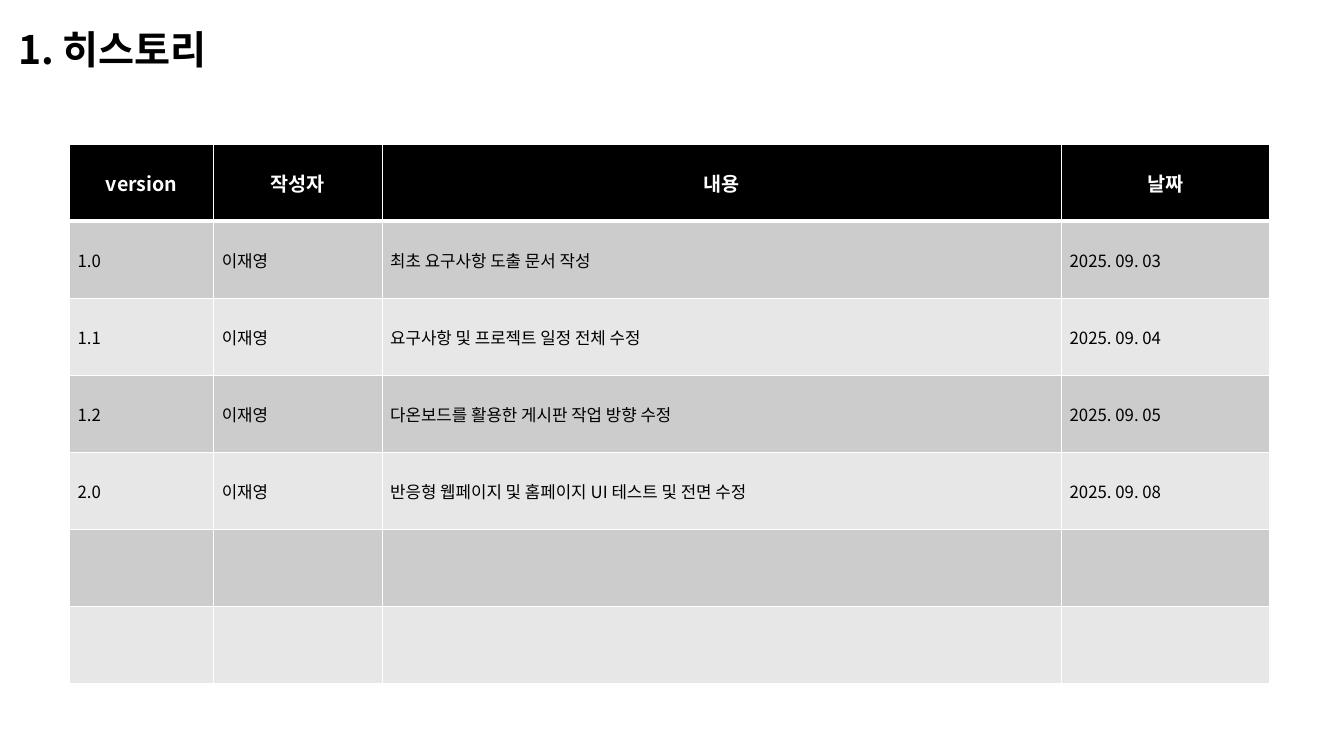
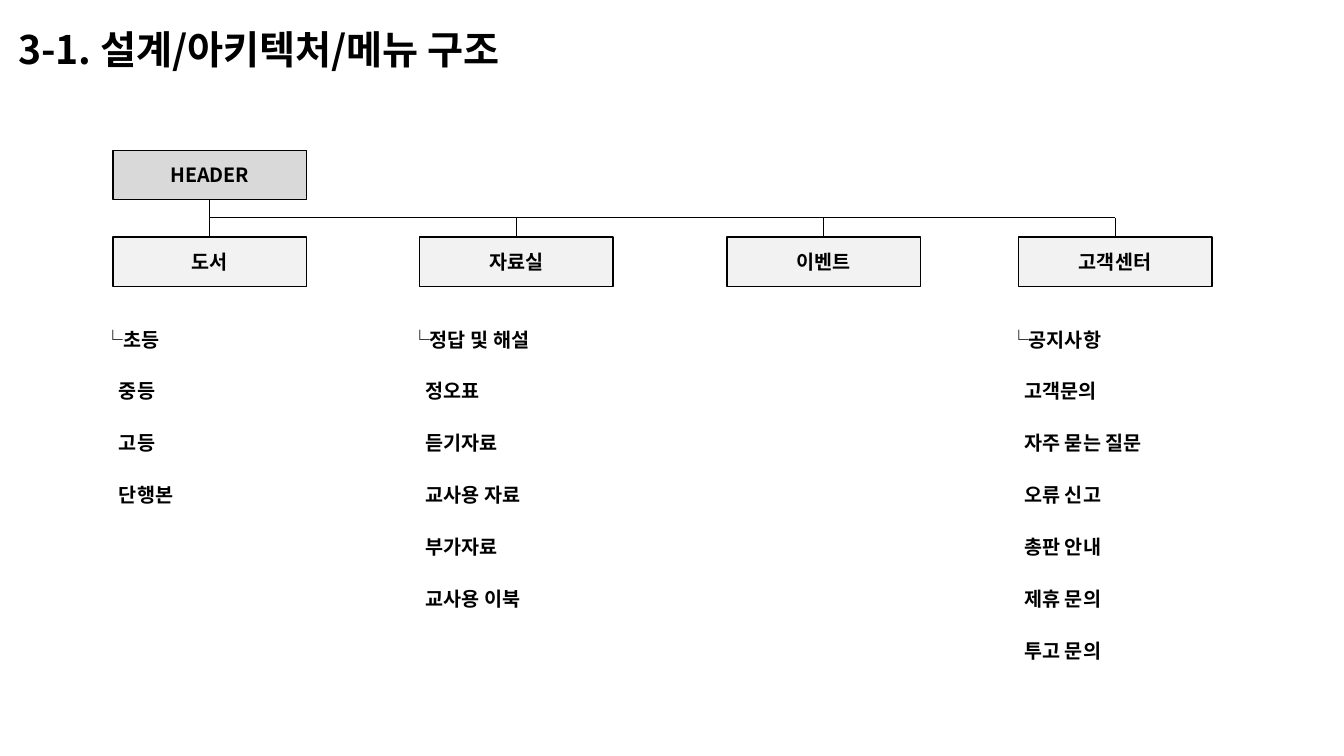
"""Build a version history slide and a menu structure slide."""
import pptx
import pptx.dml.color
import pptx.enum.shapes
import pptx.enum.text
import pptx.oxml
import pptx.oxml.ns
import pptx.util
from lxml import etree

Inches, Pt = pptx.util.Inches, pptx.util.Pt
ALIGN, ANCHOR = pptx.enum.text.PP_ALIGN, pptx.enum.text.MSO_ANCHOR
RGB = pptx.dml.color.RGBColor.from_string
qn = pptx.oxml.ns.qn

FONT = "Noto Sans CJK KR"
C = {"ink": "000000", "paper": "FFFFFF", "odd": "CCCCCC", "even": "E7E7E7",
     "root": "D9D9D9", "menu": "F2F2F2"}

prs = pptx.Presentation()
prs.slide_width, prs.slide_height = Inches(13.33), Inches(7.5)


def write(tf, text, size=14, color="ink", bold=True, align=ALIGN.LEFT):
    """Fill a text frame with one formatted paragraph."""
    p = tf.paragraphs[0]
    p.text, p.alignment = text, align
    p.font.size, p.font.bold, p.font.name = Pt(size), bold, FONT
    p.font.color.rgb = RGB(C[color])
    etree.SubElement(p._p.pPr.find(qn("a:defRPr")), qn("a:ea"), typeface=FONT)
    return p


def add_slide(title):
    """Add a title-only slide with the shared title style."""
    s = prs.slides.add_slide(prs.slide_layouts[5])
    sp = s.shapes.title
    sp.left, sp.top, sp.width, sp.height = 0, 0, prs.slide_width, Inches(1.02)
    tf = sp.text_frame
    tf.margin_left = Inches(0.18)
    tf.vertical_anchor = ANCHOR.MIDDLE
    write(tf, title, 28).line_spacing = 0.9
    return s


s = add_slide("1. 히스토리")
rows = [
    ("version", "작성자", "내용", "날짜"),
    ("1.0", "이재영", "최초 요구사항 도출 문서 작성", "2025. 09. 03"),
    ("1.1", "이재영", "요구사항 및 프로젝트 일정 전체 수정", "2025. 09. 04"),
    ("1.2", "이재영", "다온보드를 활용한 게시판 작업 방향 수정", "2025. 09. 05"),
    ("2.0", "이재영", "반응형 웹페이지 및 홈페이지 UI 테스트 및 전면 수정", "2025. 09. 08"),
    ("",) * 4,
    ("",) * 4,
]
widths = [1.43, 1.67, 6.74, 2.06]
table = s.shapes.add_table(len(rows), len(widths), Inches(0.69), Inches(1.43),
                           Inches(sum(widths)), Inches(5.35)).table
for column, width in zip(table.columns, widths):
    column.width = Inches(width)
header_rule = (f'<a:lnB {pptx.oxml.ns.nsdecls("a")} w="{Pt(3)}"><a:solidFill>'
               f'<a:srgbClr val="{C["paper"]}"/></a:solidFill></a:lnB>')
for i, row in enumerate(rows):
    fill = "ink" if i == 0 else "odd" if i % 2 else "even"
    for j, text in enumerate(row):
        cell = table.cell(i, j)
        cell.fill.solid()
        cell.fill.fore_color.rgb = RGB(C[fill])
        cell.vertical_anchor = ANCHOR.MIDDLE
        if i == 0:
            write(cell.text_frame, text, color="paper", align=ALIGN.CENTER)
            cell._tc.tcPr.insert(0, pptx.oxml.parse_xml(header_rule))
        elif text:
            cell.margin_left = Inches(0.08)
            write(cell.text_frame, text, 12, bold=False)

s = add_slide("3-1. 설계/아키텍처/메뉴 구조")
menus = [
    (1.12, "도서", ["└초등", "중등", "고등", "단행본"]),
    (4.16, "자료실", ["└정답 및 해설", "정오표", "듣기자료", "교사용 자료", "부가자료",
                   "교사용 이북"]),
    (7.21, "이벤트", []),
    (10.1, "고객센터", ["└공지사항", "고객문의", "자주 묻는 질문", "오류 신고", "총판 안내",
                     "제휴 문의", "투고 문의"]),
]
box_w, box_h = 1.92, 0.49
root_top, bus, menu_top = 1.49, 2.16, 2.35
item_top, item_bottom, item_rows = 3.2, 6.29, 6
item_step = (item_bottom - item_top) / item_rows

boxes = [(menus[0][0], root_top, "HEADER", "root")]
boxes += [(left, menu_top, name, "menu") for left, name, items in menus]
for left, top, name, fill in boxes:
    sp = s.shapes.add_shape(pptx.enum.shapes.MSO_SHAPE.RECTANGLE, Inches(left),
                            Inches(top), Inches(box_w), Inches(box_h))
    sp.shadow.inherit = False
    sp.fill.solid()
    sp.fill.fore_color.rgb = RGB(C[fill])
    sp.line.color.rgb = RGB(C["ink"])
    sp.line.width = Pt(1)
    sp.text_frame.vertical_anchor = ANCHOR.MIDDLE
    write(sp.text_frame, name, align=ALIGN.CENTER)

for left, name, items in menus:
    for i, item in enumerate(items):
        sp = s.shapes.add_textbox(Inches(left - 0.2), Inches(item_top + i * item_step),
                                  Inches(box_w), Inches(0.34))
        tf = sp.text_frame
        tf.word_wrap = True
        tf.margin_left = Inches(0.26 if i else 0.11)
        write(tf, item)

centers = [left + box_w / 2 for left, name, items in menus]
lines = [(x, bus, x, menu_top) for x in centers]
lines += [(centers[0], root_top + box_h, centers[0], bus),
          (centers[0], bus, centers[-1], bus)]
for ends in lines:
    line = s.shapes.add_connector(pptx.enum.shapes.MSO_CONNECTOR.STRAIGHT,
                                  *[Inches(v) for v in ends])
    line.line.color.rgb = RGB(C["ink"])
    line.line.width = Pt(0.5)
    etree.SubElement(line._element.spPr, qn("a:effectLst"))

prs.save("out.pptx")
